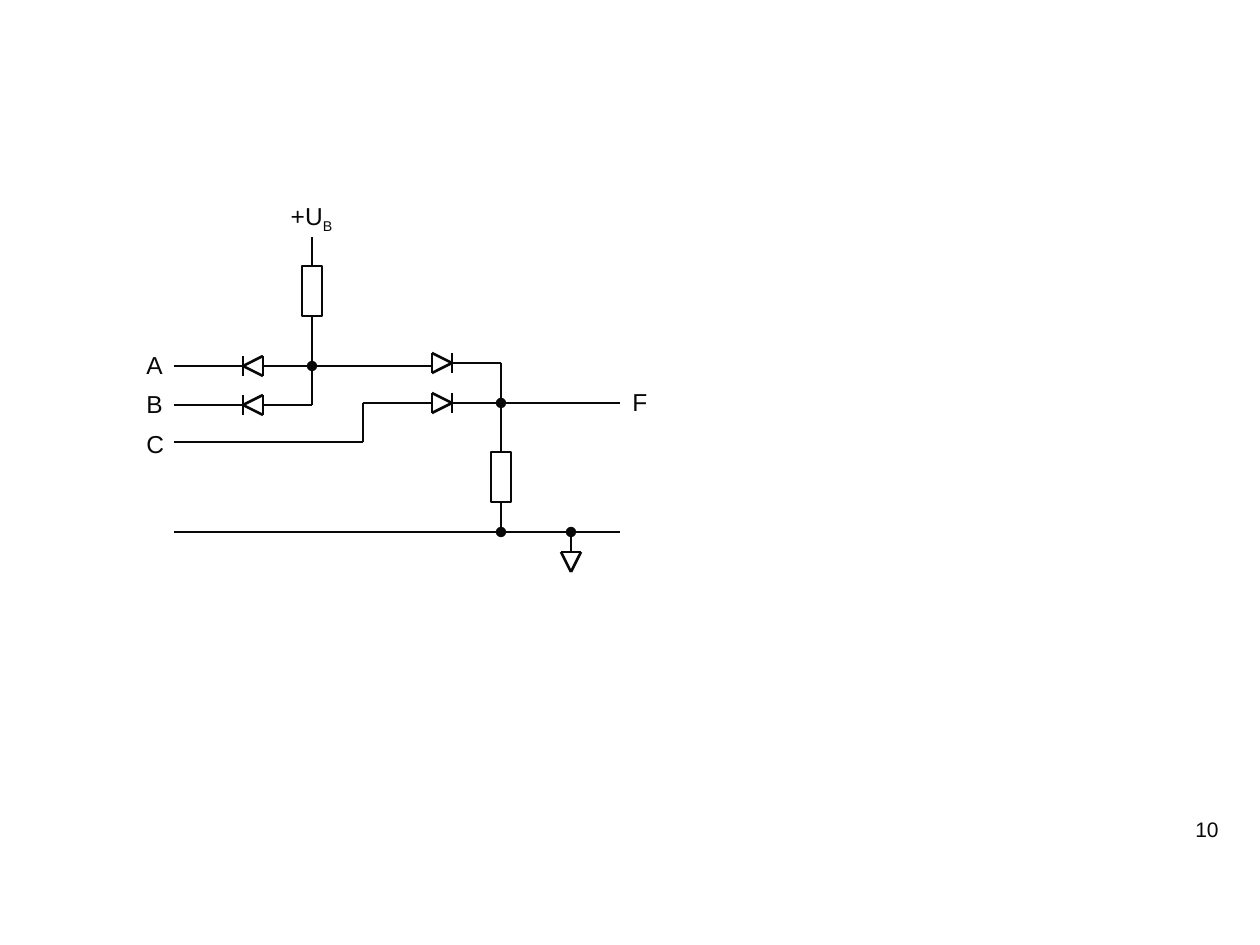
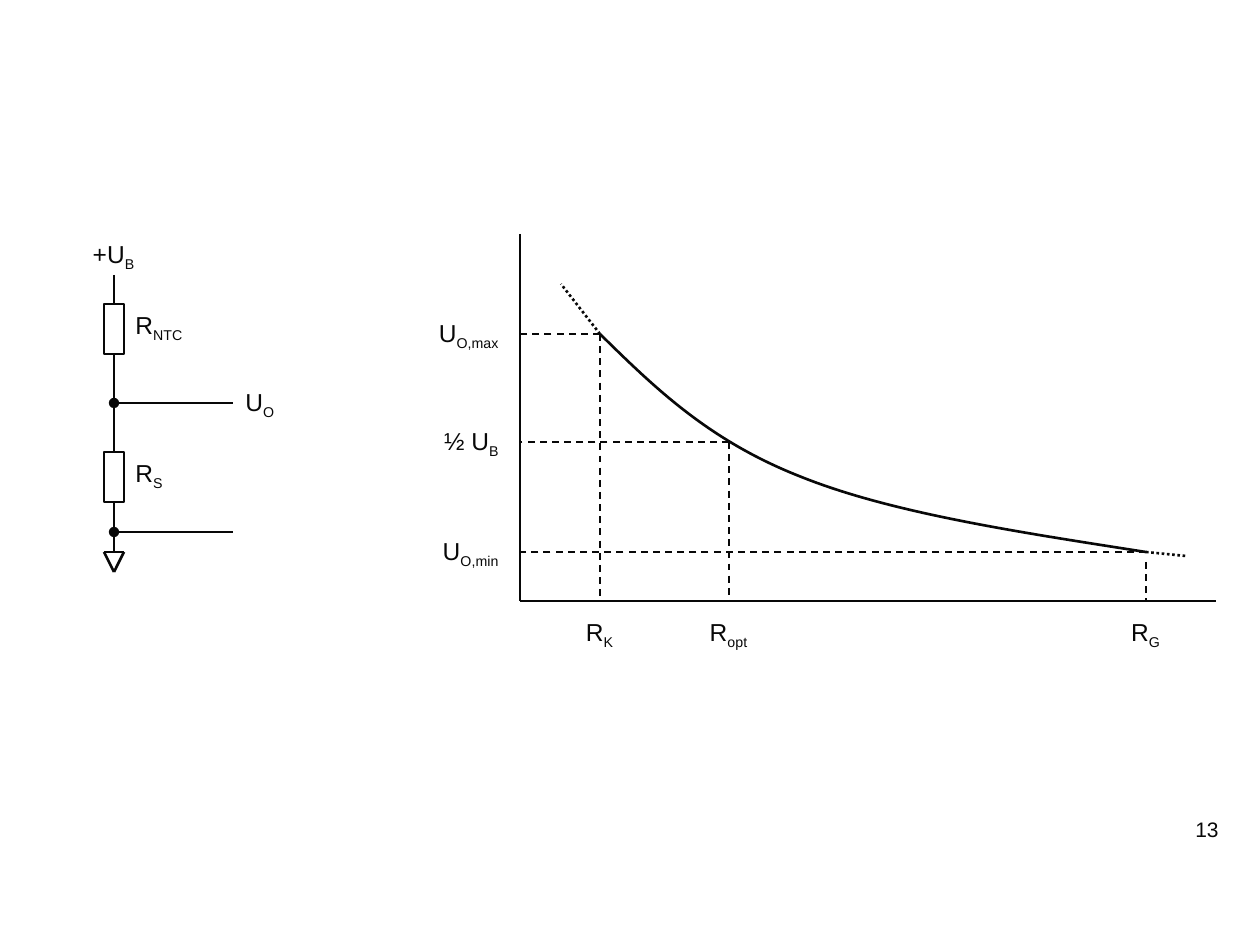
import lxml.etree
import pptx
import pptx.dml.color
import pptx.enum.shapes
import pptx.enum.text
import pptx.oxml.ns
import pptx.util

PX = 914400 / 126
COLORS = {"ink": "080808"}
FONT = "Arial"
ALIGN = pptx.enum.text.PP_ALIGN
LEFT, MID, RIGHT = ALIGN.LEFT, ALIGN.CENTER, ALIGN.RIGHT

# Shared heights of both circuits
NODE, BASE = 403, 532
LOAD = 452
BODY = (20, 50)
HALF = 10

# Slide 1: gate with three inputs; wires are x1, y1, x2, y2
GATE = {
    "page": "10",
    "supply": (312, 237),
    "load": 501,
    "ground": 571,
    "wires": [
        (174, 366, 243, 366), (263, 366, 432, 366),
        (174, 405, 243, 405), (263, 405, 312, 405), (312, 405, 312, 366),
        (174, 442, 363, 442), (363, 442, 363, NODE), (363, NODE, 432, NODE),
        (451, 363, 501, 363), (501, 363, 501, NODE),
        (451, NODE, 620, NODE), (620, BASE, 174, BASE),
    ],
    "dotted": [(312, 316, 312, 366), (501, 502, 501, BASE)],
    # Centre and direction
    "diodes": [(253, 366, -1), (253, 405, -1), (442, 363, 1), (442, NODE, 1)],
    # Left, top, width, alignment, text, subscript
    "labels": [
        (134, 344, 39, RIGHT, "A", ""), (134, 383, 39, RIGHT, "B", ""),
        (134, 423, 39, RIGHT, "C", ""), (620, 381, 39, LEFT, "F", ""),
    ],
}

# Slide 2: divider
SPLIT = {
    "page": "13",
    "supply": (114, 275),
    "load": 114,
    "ground": 114,
    "wires": [
        (114, 354, 114, NODE), (114, NODE, 233, NODE),
        (114, 502, 114, BASE), (233, BASE, 114, BASE),
    ],
    "dotted": [],
    "diodes": [],
    "labels": [
        (233, 381, 59, LEFT, "U", "O"),
        (123, 304, 89, LEFT, "R", "NTC"),
        (123, LOAD, 89, LEFT, "R", "S"),
    ],
}

# Slide 2: graph
AXIS_X, AXIS_Y = 520, 601
AXES = [(AXIS_X, 234, AXIS_X, AXIS_Y), (1216, AXIS_Y, AXIS_X, AXIS_Y)]
# x, y, top of the drop line, names on the two axes
MARKS = [
    (600, 334, 334, ("R", "K"), ("U", "O,max")),
    (729, 442, 442, ("R", "opt"), ("½ U", "B")),
    (1146, 552, 562, ("R", "G"), ("U", "O,min")),
]
CURVE = [(600, 334), (654, 387), (708, 440), (799, 476), (890, 513),
         (1018, 532), (1146, 552)]
TAILS = [(600, 334, 561, 284), (1146, 552, 1186, 556)]


def px(*nums):
    return [pptx.util.Emu(round(n * PX)) for n in nums]


def tag(name):
    return pptx.oxml.ns.qn("a:" + name)


def ink(font):
    font.color.rgb = pptx.dml.color.RGBColor.from_string(COLORS["ink"])


def stroke(shape, width=1.5, dash=None, dot=False):
    line = shape.line
    line.width = pptx.util.Pt(width)
    line.fill.solid()
    ink(line)
    ln = line._get_or_add_ln()
    if dash:
        lxml.etree.SubElement(ln, tag("prstDash")).set("val", dash)
    if dot:
        lxml.etree.SubElement(ln, tag("tailEnd")).set("type", "oval")


def wire(shapes, ends, **style):
    kind = pptx.enum.shapes.MSO_CONNECTOR.STRAIGHT
    line = shapes.add_connector(kind, *px(*ends))
    stroke(line, **style)
    lxml.etree.SubElement(line._element.spPr, tag("effectLst"))


def body(shapes, x, y):
    """Resistor centred on x."""
    kind = pptx.enum.shapes.MSO_SHAPE.RECTANGLE
    box = shapes.add_shape(kind, *px(x - BODY[0] / 2, y, *BODY))
    box.fill.background()
    stroke(box)
    box.shadow.inherit = False


def label(shapes, x, y, w, align, text, sub="", h=None, size=14):
    box = shapes.add_textbox(*px(x, y, w, h or (47 if sub else 43)))
    frame = box.text_frame
    frame.word_wrap = True
    para = frame.paragraphs[0]
    para.alignment = align
    if not h:
        frame.auto_size = pptx.enum.text.MSO_AUTO_SIZE.SHAPE_TO_FIT_TEXT
        para.space_before = pptx.util.Pt(8.8)
    for part, shift in ((text, None), (sub, "-25000")):
        if part:
            run = para.add_run()
            run.text = part
            run.font.name = FONT
            run.font.size = pptx.util.Pt(size)
            ink(run.font)
            if shift:
                run.font._element.set("baseline", shift)


def diode(shapes, x, y, way):
    group = shapes.add_group_shape().shapes
    back, tip = x - way * HALF, x + way * HALF
    top, low = y - HALF, y + HALF
    for ends in ((back, top, back, low), (back, top, tip, y),
                 (back, low, tip, y), (tip, top, tip, low)):
        wire(group, ends)


def ground(shapes, x):
    top, tip = BASE + 20, BASE + 40
    wire(shapes, (x, top, x, BASE), dot=True)
    for ends in ((x - HALF, top, x + HALF, top), (x - HALF, top, x, tip),
                 (x + HALF, top, x, tip)):
        wire(shapes, ends)


def circuit(deck, plan):
    shapes = deck.slides.add_slide(deck.slide_layouts[6]).shapes
    # Supply and load
    x, y = plan["supply"]
    label(shapes, x - 40, y - 42, 79, MID, "+U", "B")
    wire(shapes, (x, y, x, y + 29))
    body(shapes, x, y + 29)
    body(shapes, plan["load"], LOAD)
    wire(shapes, (plan["load"], LOAD, plan["load"], NODE), dot=True)
    ground(shapes, plan["ground"])
    # Wires and parts
    for ends in plan["wires"]:
        wire(shapes, ends)
    for ends in plan["dotted"]:
        wire(shapes, ends, dot=True)
    for spot in plan["diodes"]:
        diode(shapes, *spot)
    for item in plan["labels"]:
        label(shapes, *item)
    # Page number
    label(shapes, 937, 810, 294, RIGHT, plan["page"], h=66, size=12)
    return shapes


def bend(shapes, points):
    """Smooth curve: each three points after the first make one arc."""
    form = shapes.build_freeform(*points[0], scale=PX)
    form.add_line_segments(points[1:], close=False)
    shape = form.convert_to_shape()
    steps = list(shape._element.iter(tag("lnTo")))
    for i in range(0, len(steps), 3):
        arc = lxml.etree.Element(tag("cubicBezTo"))
        steps[i].addprevious(arc)
        for step in steps[i:i + 3]:
            arc.append(step[0])
            step.getparent().remove(step)
    shape.fill.background()
    stroke(shape)
    shape.shadow.inherit = False


def graph(shapes):
    for ends in TAILS:
        wire(shapes, ends, dash="sysDot")
    bend(shapes, CURVE)
    for ends in AXES:
        wire(shapes, ends)
    # Guides and axis names
    for x, y, top, under, side in MARKS:
        wire(shapes, (x, y, AXIS_X, y), width=1, dash="dash")
        wire(shapes, (x, top, x, AXIS_Y), width=1, dash="dash")
        label(shapes, x - 40, AXIS_Y + 10, 79, MID, *under)
        label(shapes, AXIS_X - 98, y - 22, 89, RIGHT, *side)


def main():
    deck = pptx.Presentation()
    deck.slide_width, deck.slide_height = px(1260, 945)
    circuit(deck, GATE)
    graph(circuit(deck, SPLIT))
    deck.save("out.pptx")


if __name__ == "__main__":
    main()
